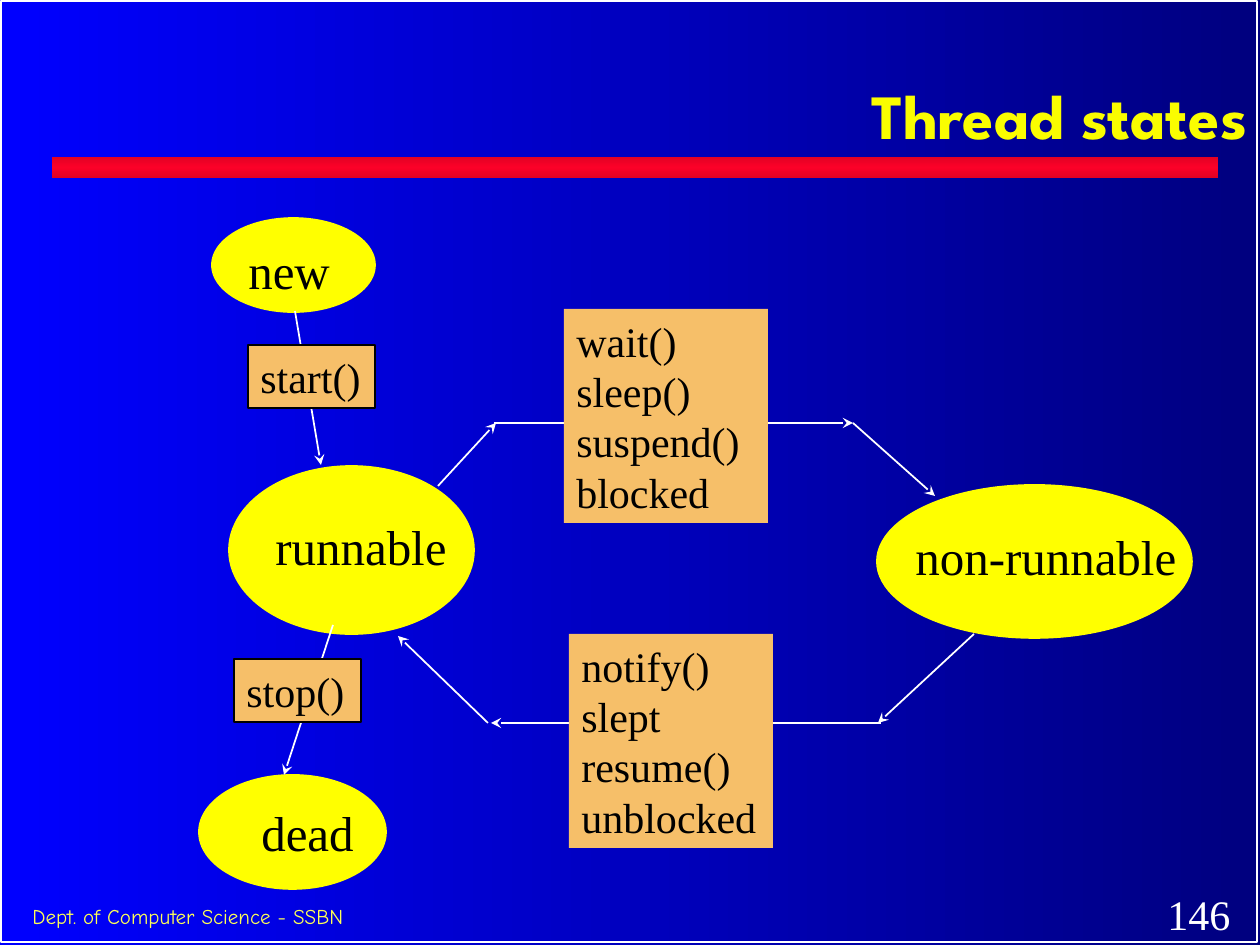
"""Build a slide that shows the states of a thread and the calls between them."""
from copy import deepcopy

from lxml import etree
from pptx import Presentation
from pptx import util as u
from pptx.dml.color import RGBColor
from pptx.enum import shapes, text
from pptx.oxml import ns

PX = u.Inches(1) // 126
WHITE = RGBColor(0xFF, 0xFF, 0xFF)
BLACK = RGBColor(0, 0, 0)
YELLOW = RGBColor(0xFF, 0xFF, 0)
TITLE_YELLOW = RGBColor(0xFA, 0xFD, 0)
FOOTER_YELLOW = RGBColor(0xFE, 0xFF, 0x56)
ORANGE = RGBColor(0xF6, 0xBF, 0x69)
BLUE = RGBColor(0, 0, 0xFF)
NAVY = RGBColor(0, 0, 0x7F)
RED = RGBColor(0xFC, 0x01, 0x28)
DARK_RED = RGBColor(0xE2, 0x01, 0x24)
SERIF = "Times New Roman"

STATES = [
    ("new", (212, 218, 163, 94), (236, 234, 107, 72)),
    ("non-runnable", (877, 485, 315, 153), (903, 520, 286, 72)),
    ("dead", (199, 775, 187, 114), (249, 796, 118, 72)),
    ("runnable", (229, 466, 245, 168), (263, 510, 197, 72)),
]
ARROWS = [
    ((438, 486), (496, 423)),
    ((494, 423), (853, 423)),
    ((853, 423), (935, 496)),
    ((295, 311), (321, 465)),
    ((333, 625), (284, 775)),
    ((488, 723), (398, 636)),
    ((881, 723), (491, 723)),
    ((974, 634), (878, 723)),
]
CALLS = [
    (["wait()", "sleep()", "suspend()", "blocked"], (564, 309, 204, 214), None),
    (["notify()", "slept", "resume()", "unblocked"], (569, 634, 204, 214), None),
    (["start()"], (248, 345, 127, 63), BLACK),
    (["stop()"], (234, 659, 127, 63), BLACK),
]


def scaled(lengths):
    """Turn px lengths into EMU."""
    return [length * PX for length in lengths]


def write(box, lines, size=24, font=SERIF, color=BLACK, bold=False,
          align=text.PP_ALIGN.LEFT, anchor=text.MSO_ANCHOR.TOP,
          spacing=1.0, wrap=True):
    """Put one paragraph per line into a shape, in one format."""
    frame = box.text_frame
    frame.auto_size = text.MSO_AUTO_SIZE.NONE
    frame.word_wrap = wrap
    frame.vertical_anchor = anchor
    frame.text = "\n".join(lines)
    for para in frame.paragraphs:
        para.alignment = align
        para.line_spacing = spacing
        para.font.size = u.Pt(size)
        para.font.name = font
        para.font.bold = bold
        para.font.color.rgb = color


def paint_gradient(fill, element, colors, angle):
    """Give a fill evenly spaced gradient stops."""
    fill.gradient()
    fill.gradient_angle = angle
    stop_list = element.xpath(".//a:gsLst")[0]
    while len(stop_list) < len(colors):
        stop_list.append(deepcopy(stop_list[-1]))
    for index, (stop, color) in enumerate(zip(fill.gradient_stops, colors)):
        stop.position = index / (len(colors) - 1)
        stop.color.rgb = color


def add_figure(page, kind, place, fill=None, line=None):
    """Add a flat preset shape with an optional fill and outline."""
    box = page.shapes.add_shape(kind, *scaled(place))
    box.shadow.inherit = False
    if fill is None:
        box.fill.background()
    else:
        box.fill.solid()
        box.fill.fore_color.rgb = fill
    if line is None:
        box.line.fill.background()
    else:
        box.line.color.rgb = line
        box.line.width = u.Pt(1)
    return box


def add_label(page, place, label, **style):
    """Add a text box with one line."""
    box = page.shapes.add_textbox(*scaled(place))
    write(box, [label], **style)


def add_arrow(page, start, end):
    """Add a white line with a stealth head at its end."""
    arrow = page.shapes.add_connector(
        shapes.MSO_CONNECTOR.STRAIGHT, *scaled(start + end))
    arrow.line.color.rgb = WHITE
    arrow.line.width = u.Pt(1)
    outline = arrow.line._get_or_add_ln()
    etree.SubElement(outline, ns.qn("a:tailEnd"), type="stealth")
    etree.SubElement(arrow._element.spPr, ns.qn("a:effectLst"))


def add_frame(page):
    """Add the background, border, rule, footer and page number."""
    background = page.background.fill
    paint_gradient(background, page._element, [BLUE, NAVY], 0)
    rectangle = shapes.MSO_SHAPE.RECTANGLE
    add_figure(page, rectangle, (1, 1, 1256, 941), line=WHITE)
    rule = add_figure(page, rectangle, (52, 157, 1166, 21))
    paint_gradient(rule.fill, rule._element, [DARK_RED, RED, DARK_RED], 90)
    add_label(page, (1155, 882, 95, 63), "146", color=WHITE)
    add_label(page, (20, 900, 610, 37), "Dept. of Computer Science - SSBN",
              size=12, font="Comic Neue", color=FOOTER_YELLOW, spacing=0.93)


def add_title(page, title):
    """Place and format the title placeholder."""
    box = page.shapes.title
    box.left, box.top, box.width, box.height = scaled((189, 47, 1071, 145))
    write(box, [title], size=36, font="League Spartan", color=TITLE_YELLOW,
          bold=True, align=text.PP_ALIGN.RIGHT,
          anchor=text.MSO_ANCHOR.MIDDLE, spacing=0.89)


def main():
    """Build and save the deck."""
    deck = Presentation()
    deck.slide_width, deck.slide_height = scaled((1260, 945))
    page = deck.slides.add_slide(deck.slide_layouts[5])
    add_frame(page)
    add_title(page, "Thread states")
    for state, oval, label in STATES:
        add_figure(page, shapes.MSO_SHAPE.OVAL, oval, YELLOW, YELLOW)
        add_label(page, label, state, size=28, wrap=False)
    for start, end in ARROWS:
        add_arrow(page, start, end)
    for lines, place, outline in CALLS:
        box = add_figure(page, shapes.MSO_SHAPE.RECTANGLE, place, ORANGE, outline)
        write(box, lines)
    deck.save("out.pptx")


if __name__ == "__main__":
    main()
